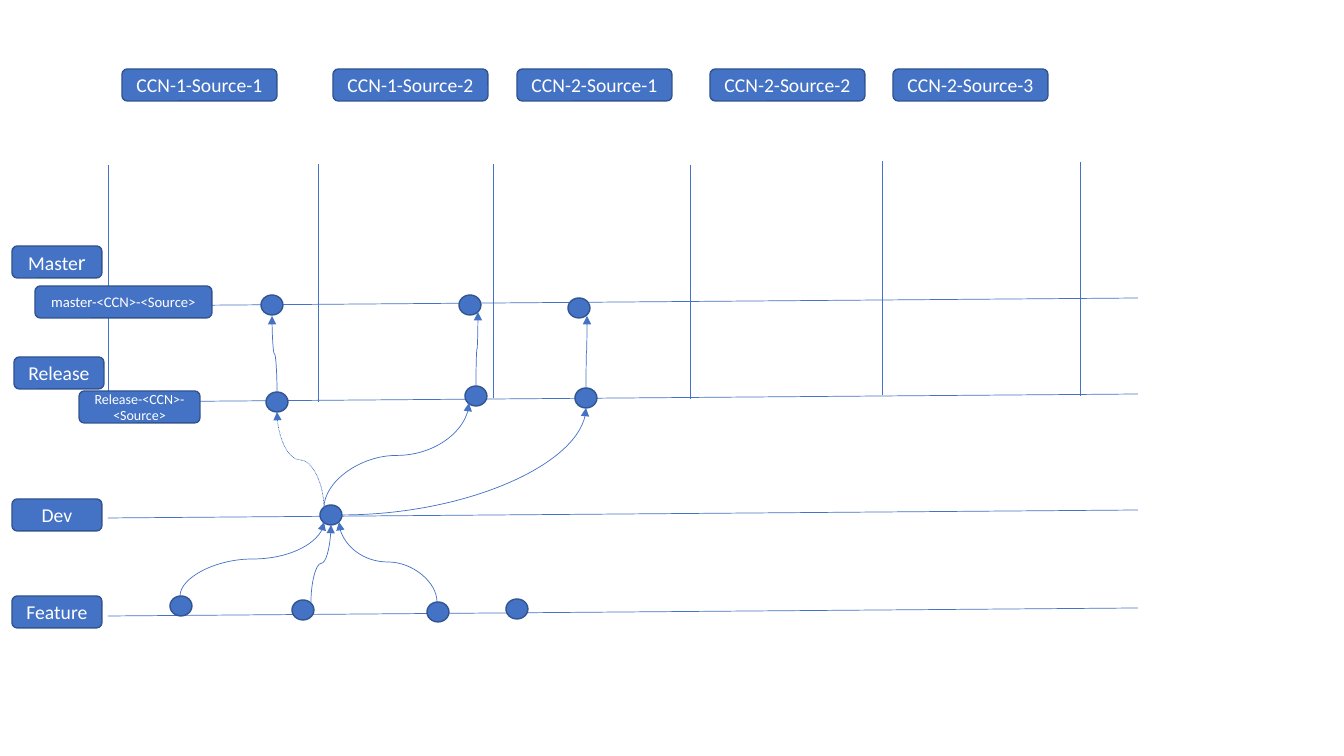
from lxml import etree
from pptx import Presentation
from pptx import util as u
from pptx.dml.color import RGBColor
from pptx.enum import dml, shapes, text
from pptx.oxml import ns

BLUE = RGBColor(0x44, 0x72, 0xC4)
OUTLINE = RGBColor(0x32, 0x54, 0x91)
WHITE = RGBColor(0xFF, 0xFF, 0xFF)
SCALE = 914400 / 100.8


def px(length):
    return u.Emu(round(length * SCALE))


class Diagram:
    font = "Calibri"

    def __init__(self, slide):
        self.slide = slide

    def shape(self, kind, left, top, width, height):
        shape = self.slide.shapes.add_shape(kind, px(left), px(top), px(width), px(height))
        shape.shadow.inherit = False
        shape.fill.solid()
        shape.fill.fore_color.rgb = BLUE
        shape.line.color.rgb = OUTLINE
        shape.line.width = u.Pt(1)
        return shape

    def box(self, label, left, top, width, size=14):
        box = self.shape(shapes.MSO_SHAPE.ROUNDED_RECTANGLE, left, top, width, 32)
        box.text_frame.text = label
        box.text_frame.vertical_anchor = text.MSO_ANCHOR.MIDDLE
        para = box.text_frame.paragraphs[0]
        para.alignment = text.PP_ALIGN.CENTER
        self.format_span(para.runs[0], size)
        return para

    def format_span(self, span, size):
        span.font.name = self.font
        span.font.size = u.Pt(size)
        span.font.color.rgb = WHITE

    def commit(self, left, top):
        self.shape(shapes.MSO_SHAPE.OVAL, left, top, 22, 20)

    def line(self, x1, y1, x2, y2, kind=shapes.MSO_CONNECTOR.STRAIGHT):
        line = self.slide.shapes.add_connector(kind, px(x1), px(y1), px(x2), px(y2))
        line.line.color.rgb = BLUE
        line.line.width = u.Pt(0.5)
        etree.SubElement(line._element.spPr, ns.qn("a:effectLst"))
        return line

    def arrow(self, x1, y1, x2, y2):
        arrow = self.line(x1, y1, x2, y2, shapes.MSO_CONNECTOR.CURVE)
        etree.SubElement(arrow.line._get_or_add_ln(), ns.qn("a:tailEnd"), type="triangle")
        return arrow

    def rising_arrow(self, x1, y1, x2, y2):
        """S-curve that leaves and arrives vertically: a horizontal one, turned."""
        middle_x, middle_y = (x1 + x2) / 2, (y1 + y2) / 2
        half_run, half_rise = abs(x2 - x1) / 2, (y1 - y2) / 2
        turn, side = (90, 1) if x2 > x1 else (270, -1)
        arrow = self.arrow(middle_x + side * half_rise, middle_y + half_run,
                           middle_x - side * half_rise, middle_y - half_run)
        arrow._element.spPr.find(ns.qn("a:xfrm")).set("rot", str(turn * 60000))
        return arrow

    def quarter_arrow(self, x1, y1, x2, y2):
        arrow = self.arrow(x1, y1, x2, y2)
        arrow._element.spPr.find(ns.qn("a:prstGeom")).set("prst", "curvedConnector2")


deck = Presentation()
deck.slide_width, deck.slide_height = px(1344), px(756)
diagram = Diagram(deck.slides.add_slide(deck.slide_layouts[6]))

# Branch lines, slightly rising, and source dividers
for start_y in (306, 402, 518, 616):
    diagram.line(108, start_y, 1138, start_y - 8)
for x, top, bottom in ((108, 165, 409), (318, 164, 402), (493, 164, 398),
                       (690, 165, 399), (882, 161, 395), (1080, 162, 396)):
    diagram.line(x, top, x, bottom)

# Branch labels
master = diagram.box("Maste", 12, 246, 90)
last_letter = master.add_run()
last_letter.text = "r"
diagram.format_span(last_letter, 16)
for label, left, top in (("Release", 14, 357), ("Dev", 12, 499), ("Feature", 12, 596)):
    diagram.box(label, left, top, 90)

# Branch naming patterns
diagram.box("master-<CCN>-<Source>", 35, 286, 177, 10.5)
diagram.box("Release-<CCN>-<Source>", 79, 391, 121, 10)

# Source headings
for source, left in (("1-Source-1", 122), ("1-Source-2", 333), ("2-Source-1", 517),
                     ("2-Source-2", 710), ("2-Source-3", 893)):
    diagram.box("CCN-" + source, left, 69, 155)

# Commits on master, release, dev and feature
for left, top in ((261, 295), (459, 295), (568, 298),
                  (266, 392), (465, 386), (575, 388),
                  (320, 505),
                  (170, 596), (292, 600), (427, 602), (506, 599)):
    diagram.commit(left, top)

# Merges: feature to dev, dev to release, release to master
for merge in ((180, 596, 324, 522), (311, 602, 331, 525), (437, 602, 339, 522),
              (324, 508, 469, 403),
              (277, 392, 272, 316), (476, 386, 478, 312), (586, 388, 587, 316)):
    diagram.rising_arrow(*merge)
dotted = diagram.rising_arrow(324, 508, 277, 412)
dotted.line.dash_style = dml.MSO_LINE.ROUND_DOT
diagram.quarter_arrow(342, 515, 586, 408)

deck.save("out.pptx")
